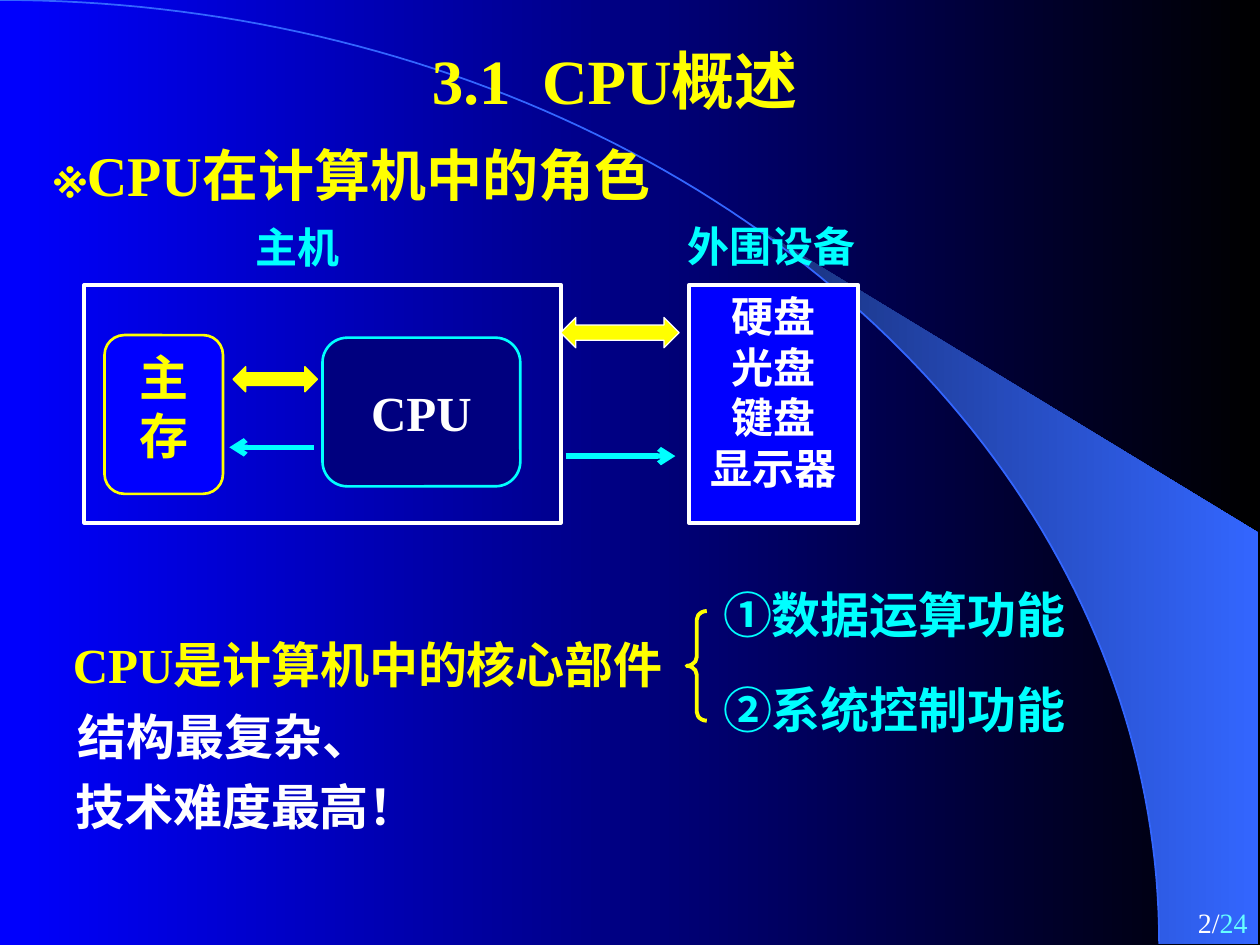
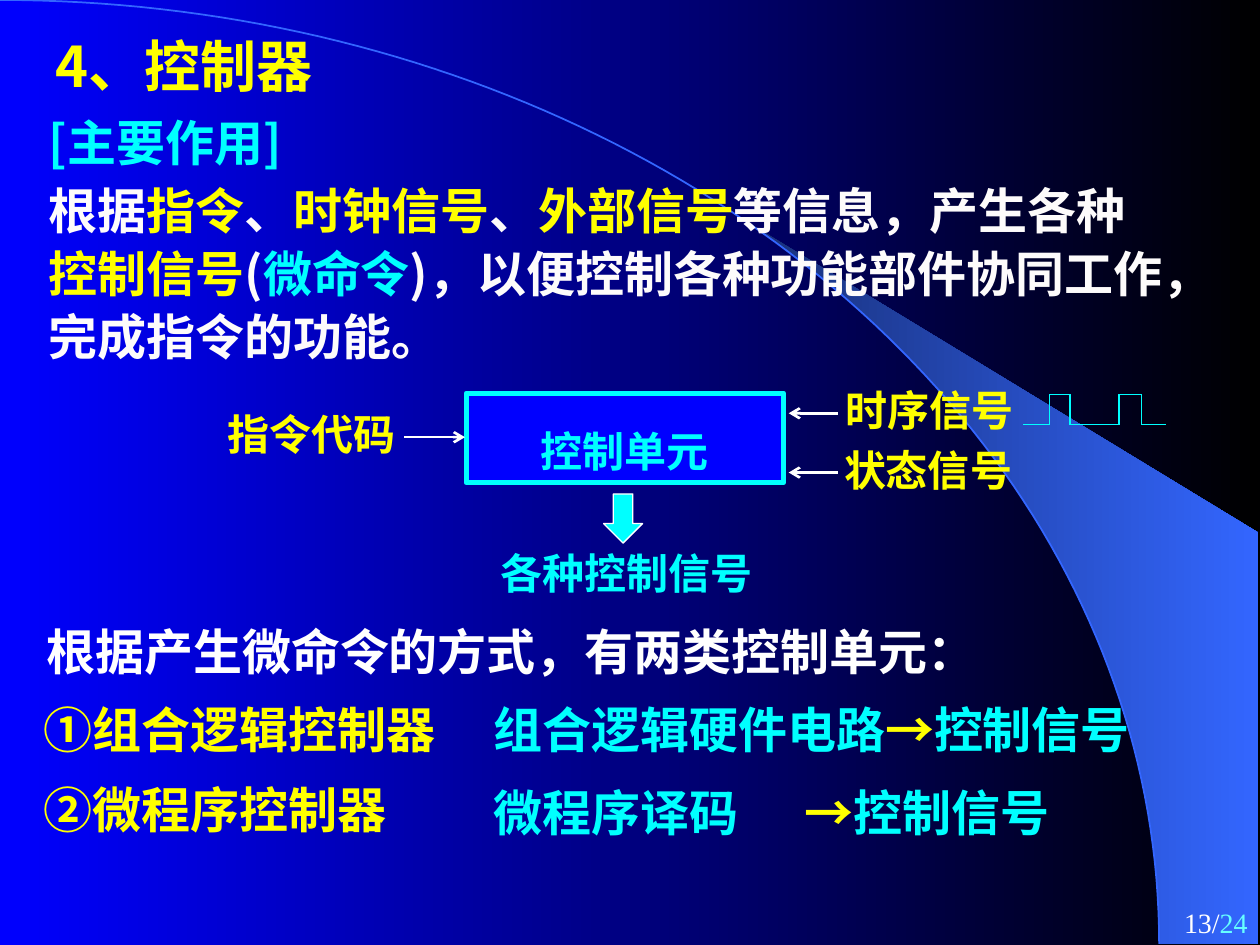
from itertools import pairwise
from math import asin, cos, pi, sin

from lxml import etree
from pptx import Presentation
from pptx.dml.color import RGBColor
from pptx.enum import shapes, text
from pptx.oxml.ns import qn
from pptx.util import Inches, Pt

COLORS = {
    "blue": "0000FF", "black": "000000", "navy": "00007F",
    "yellow": "FFFF00", "cyan": "00FFFF", "white": "FFFFFF",
    "soft_white": "FDFBFB", "page_total": "66FFFF",
    "arc": "3366FF", "wedge_dark": "182F76",
}
HEI, TIMES = "Noto Sans CJK SC", "Times New Roman"
SHAPE, ALIGN, ANCHOR = shapes.MSO_SHAPE, text.PP_ALIGN, text.MSO_ANCHOR
ARC_W, ARC_H = 9.2, 7.49
TOTAL_PAGES = 24


def rgb(name):
    return RGBColor.from_string(COLORS[name])


def fill_gradient(fill, start, end):
    fill.gradient()
    fill.gradient_angle = 0
    for stop, color in zip(fill.gradient_stops, (start, end)):
        stop.color.rgb = rgb(color)


def style(shape, fill=None, line=None, width=1.0):
    shape.shadow.inherit = False
    if fill:
        shape.fill.solid()
        shape.fill.fore_color.rgb = rgb(fill)
    else:
        shape.fill.background()
    if line:
        shape.line.color.rgb = rgb(line)
        shape.line.width = Pt(width)
    else:
        shape.line.fill.background()


def write(shape, paragraphs, size, color, font=HEI, bold=True, align=ALIGN.LEFT,
          wrap=True, anchor=ANCHOR.TOP, spacing=None, gap=0, tab=None):
    """Each paragraph is a string or a list of (words, color) pairs."""
    frame = shape.text_frame
    frame.word_wrap, frame.vertical_anchor = wrap, anchor
    for i, content in enumerate(paragraphs):
        para = frame.add_paragraph() if i else frame.paragraphs[0]
        para.alignment = align
        if spacing:
            para.line_spacing = spacing
        if i and gap:
            para.space_before = Pt(gap)
        props = para._p.get_or_add_pPr()
        if tab:
            stops = etree.SubElement(props, qn("a:tabLst"))
            etree.SubElement(stops, qn("a:tab"), pos=str(Inches(tab)), algn="l")
        para.font.size, para.font.bold, para.font.name = Pt(size), bold, font
        para.font.color.rgb = rgb(color)
        latin = props.find(qn("a:defRPr")).find(qn("a:latin"))
        latin.addnext(latin.makeelement(qn("a:ea"), typeface=HEI))
        if isinstance(content, str):
            para.add_run().text = content
            continue
        for words, run_color in content:
            run = para.add_run()
            run.text = words
            if run_color != color:
                run.font.color.rgb = rgb(run_color)


def label(slide, box, paragraphs, size, color, **options):
    area = slide.shapes.add_textbox(*map(Inches, box))
    write(area, paragraphs, size, color, **options)


def block(slide, kind, box, fill=None, line=None, width=1.0, adjust=()):
    shape = slide.shapes.add_shape(kind, *map(Inches, box))
    style(shape, fill, line, width)
    for i, value in enumerate(adjust):
        shape.adjustments[i] = value
    return shape


def connect(slide, start, end, color, width, arrow=False):
    line = slide.shapes.add_connector(
        shapes.MSO_CONNECTOR.STRAIGHT, *map(Inches, (*start, *end)))
    line.line.color.rgb = rgb(color)
    line.line.width = Pt(width)
    props = line._element.spPr
    if arrow:
        etree.SubElement(props.find(qn("a:ln")), qn("a:tailEnd"), type="arrow")
    etree.SubElement(props, qn("a:effectLst"))


def outline(slide, points, close):
    (x, y), *rest = [(Inches(px), Inches(py)) for px, py in points]
    builder = slide.shapes.build_freeform(x, y)
    builder.add_line_segments(rest, close=close)
    return builder.convert_to_shape()


def arc_points(start_x, steps):
    """Points on the quarter ellipse, from start_x to its lower right end."""
    first = asin(start_x / ARC_W)
    angles = [first + (pi / 2 - first) * i / steps for i in range(steps + 1)]
    return [(ARC_W * sin(a), ARC_H * (1 - cos(a))) for a in angles]


def new_slide(prs, page):
    slide = prs.slides.add_slide(prs.slide_layouts[6])
    # Wedge of light behind the arc
    wedge = outline(slide, arc_points(5.89, 30) + [(9.99, 7.49), (9.99, 4.23)], True)
    style(wedge)
    fill_gradient(wedge.fill, "wedge_dark", "arc")
    style(outline(slide, arc_points(0, 90), False), line="arc", width=1)
    # Page number
    label(slide, (7.92, 7.14, 2.08, 0.36),
          [[(f"{page}/", "white"), (str(TOTAL_PAGES), "page_total")]], 16, "white",
          font=TIMES, bold=False, align=ALIGN.RIGHT)
    return slide


def overview_slide(prs):
    slide = new_slide(prs, 2)
    label(slide, (0, 0.28, 9.76, 0.7), ["3.1  CPU概述"], 36, "yellow",
          font=TIMES, align=ALIGN.CENTER)
    label(slide, (0.2, 1.07, 5.2, 0.64), ["※CPU在计算机中的角色"], 32, "yellow",
          font=TIMES, align=ALIGN.CENTER)

    # Host: memory and CPU
    block(slide, SHAPE.RECTANGLE, (0.67, 2.26, 3.78, 1.89), line="white", width=2.25)
    centred = dict(align=ALIGN.CENTER, wrap=False)
    memory = block(slide, SHAPE.ROUNDED_RECTANGLE, (0.83, 2.66, 0.94, 1.26),
                   "blue", "yellow", 1.5, [0.167])
    write(memory, ["主", "存"], 28, "yellow", **centred)
    cpu = block(slide, SHAPE.ROUNDED_RECTANGLE, (2.56, 2.68, 1.57, 1.18),
                "navy", "cyan", 1.5, [0.167])
    write(cpu, ["CPU"], 28, "white", font=TIMES, anchor=ANCHOR.MIDDLE, **centred)

    # Peripherals
    devices = block(slide, SHAPE.RECTANGLE, (5.47, 2.26, 1.34, 1.89),
                    "blue", "white", 2.25)
    write(devices, ["硬盘", "光盘", "键盘", "显示器"], 24, "white", **centred)

    # Data and control paths
    for box, edge in (((4.45, 2.52, 0.94, 0.24), "white"),
                      ((1.85, 2.91, 0.67, 0.2), "yellow")):
        block(slide, SHAPE.LEFT_RIGHT_ARROW, box, "yellow", edge, 0.75)
    connect(slide, (4.49, 3.62), (5.36, 3.62), "cyan", 3, arrow=True)
    connect(slide, (2.49, 3.55), (1.82, 3.55), "cyan", 3, arrow=True)

    # Captions and conclusions, each with room to stay on one line
    for box, words, size, color in (
        ((1.93, 1.71, 1, 0.5), "主机", 24, "cyan"),
        ((5.36, 1.7, 1.65, 0.5), "外围设备", 24, "cyan"),
        ((0.48, 4.99, 5.15, 0.57), "CPU是计算机中的核心部件", 28, "yellow"),
        ((0.52, 5.56, 2.7, 0.57), "结构最复杂、", 28, "white"),
        ((0.5, 6.11, 3.1, 0.57), "技术难度最高！", 28, "white"),
    ):
        label(slide, box, [words], size, color, font=TIMES)

    # Two functions joined by a brace
    block(slide, SHAPE.LEFT_BRACE, (5.45, 4.85, 0.16, 0.87), line="yellow",
          width=2.25, adjust=[0.44, 0.5])
    for top, function in ((4.5, "①数据运算功能"), (5.25, "②系统控制功能")):
        label(slide, (5.64, top, 3.1, 0.66), [function], 28, "cyan", spacing=1.2)


def controller_slide(prs):
    slide = new_slide(prs, 13)
    label(slide, (0.34, 0.2, 3.61, 0.64), ["4、控制器"], 32, "yellow")
    label(slide, (0.29, 0.84, 3.29, 0.57), ["[主要作用]"], 28, "cyan")
    purpose = [
        ("根据", "soft_white"), ("指令", "yellow"), ("、", "soft_white"),
        ("时钟信号", "yellow"), ("、", "soft_white"), ("外部信号", "yellow"),
        ("等信息，产生各种", "soft_white"), ("控制信号", "yellow"),
        ("(", "soft_white"), ("微命令", "cyan"),
        (")，以便控制各种功能部件协同工作，完成指令的功能。", "soft_white"),
    ]
    label(slide, (0.29, 1.35, 9.12, 1.6), [purpose], 28, "soft_white", spacing=Pt(36))

    # Control unit with its inputs and output
    unit = block(slide, SHAPE.RECTANGLE, (3.7, 3.12, 2.52, 0.71), "blue", "cyan", 3)
    write(unit, ["控制单元"], 24, "cyan", align=ALIGN.CENTER, wrap=False,
          anchor=ANCHOR.MIDDLE, spacing=1.5)
    connect(slide, (3.21, 3.47), (3.69, 3.47), "white", 1.5, arrow=True)
    label(slide, (1.69, 3.19, 1.57, 0.55), ["指令代码"], 24, "yellow",
          align=ALIGN.CENTER, wrap=False)
    for left, top, arrow_y, signal in ((6.61, 3, 3.28, "时序信号"),
                                       (6.6, 3.48, 3.75, "状态信号")):
        connect(slide, (6.65, arrow_y), (6.26, arrow_y), "white", 1.5, arrow=True)
        label(slide, (left, top, 1.65, 0.5), [signal], 24, "yellow", font=TIMES)
    block(slide, SHAPE.DOWN_ARROW, (4.79, 3.92, 0.31, 0.39), "cyan", "white", 0.75)
    label(slide, (3.87, 4.3, 2.35, 0.5), ["各种控制信号"], 24, "cyan")

    # Clock pulses
    high, low = 3.13, 3.37
    pulse = [(8.12, low)]
    for rise, fall in ((8.33, 8.49), (8.88, 9.06)):
        pulse += [(rise, low), (rise, high), (fall, high), (fall, low)]
    pulse.append((9.25, low))
    for start, end in pairwise(pulse):
        connect(slide, start, end, "cyan", 1)

    # Two kinds of control unit
    label(slide, (0.27, 4.88, 7.98, 0.57),
          ["根据产生微命令的方式，有两类控制单元："], 28, "white")
    label(slide, (0.25, 5.5, 3.96, 1.21), ["①组合逻辑控制器", "②微程序控制器"],
          28, "yellow", gap=12.2)
    for top, source, tab in ((5.5, "组合逻辑硬件电路", None),
                             (6.16, "微程序译码\t", 2.47)):
        flow = [(source, "cyan"), ("→", "yellow"), ("控制信号", "cyan")]
        label(slide, (3.82, top, 5.98, 0.57), [flow], 28, "cyan", tab=tab)


def main():
    prs = Presentation()
    prs.slide_width, prs.slide_height = Inches(10), Inches(7.5)
    fill_gradient(prs.slide_master.background.fill, "blue", "black")
    overview_slide(prs)
    controller_slide(prs)
    prs.save("out.pptx")


if __name__ == "__main__":
    main()
